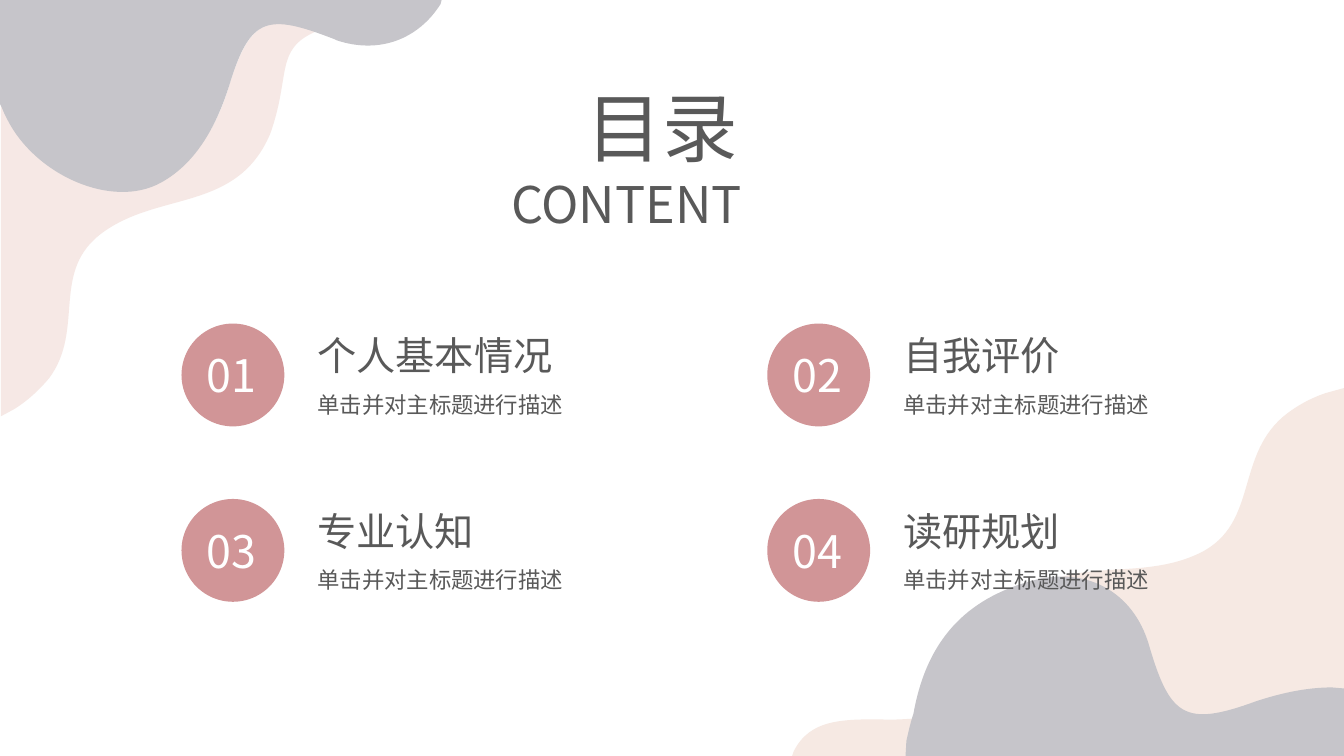
"""Build a table-of-contents slide with wavy corner shapes and four numbered items."""
from lxml import etree
from pptx import Presentation
from pptx.dml.color import RGBColor
from pptx.enum.shapes import MSO_SHAPE
from pptx.enum.text import MSO_ANCHOR, MSO_AUTO_SIZE, PP_ALIGN
from pptx.oxml.ns import qn
from pptx.util import Inches, Pt

OVAL = MSO_SHAPE.OVAL
TOP, MIDDLE = MSO_ANCHOR.TOP, MSO_ANCHOR.MIDDLE
NO_FIT = MSO_AUTO_SIZE.NONE
LEFT, JUSTIFY = PP_ALIGN.LEFT, PP_ALIGN.JUSTIFY

FONT = "Noto Sans CJK SC"
DARK, WHITE, ROSE, GREY = "595959", "FFFFFF", "D19597", "C6C5CA"

TITLE, SUBTITLE = "目录", "CONTENT"
ITEMS = ["个人基本情况", "自我评价", "专业认知", "读研规划"]
DESCRIPTION = "单击并对主标题进行描述"

# Each step holds one end point, or two control points and an end point.
WAVES = [
    ("F6E8E5", [
        (0.01, 4.13), (0.01, 0.96), (0.1, 1.16),
        (0.37, 1.71, 1.14, 2.04, 1.61, 1.78),
        (1.97, 1.58, 2.17, 1.21, 2.28, 0.83),
        (2.47, 0.23, 2.63, 0.14, 3.14, 0.31),
        (2.72, 0.49, 2.89, 0.74, 2.68, 1.33),
        (2.35, 2.1, 1.59, 1.9, 1.03, 2.3),
        (0.49, 2.68, 0.85, 3.26, 0.49, 3.75),
        (0.39, 3.87, 0.27, 3.98, 0.14, 4.06)]),
    (GREY, [
        (0, 1.03), (0, 0), (4.38, 0), (4.37, 0.04),
        (4.15, 0.39, 3.76, 0.54, 3.34, 0.4),
        (3.33, 0.39, 3.33, 0.39, 3.32, 0.39),
        (2.65, 0.13, 2.48, 0.16, 2.27, 0.86),
        (2.15, 1.23, 1.96, 1.61, 1.6, 1.81),
        (1.12, 2.08, 0.35, 1.74, 0.07, 1.18),
        (0.05, 1.14, 0.03, 1.1, 0.02, 1.07)]),
    ("F6E9E3", [
        (7.85, 7.52), (7.87, 7.46),
        (8.03, 7.13, 8.36, 7.13, 8.84, 7.14),
        (9.78, 7.12, 9.51, 6.84, 9.94, 6.15),
        (10.45, 5.43, 11.18, 5.8, 11.85, 5.51),
        (12.49, 5.24, 12.24, 4.56, 12.72, 4.14),
        (12.85, 4.03, 13, 3.95, 13.15, 3.9),
        (13.33, 3.85), (13.33, 7.52)]),
    (GREY, [
        (8.98, 7.52), (8.99, 7.35),
        (9.01, 7.26, 9.03, 7.17, 9.06, 7.08),
        (9.19, 6.35, 9.58, 5.94, 10.24, 5.76),
        (10.75, 5.62, 11.21, 5.85, 11.38, 6.35),
        (11.39, 6.36, 11.39, 6.37, 11.39, 6.38),
        (11.6, 7.1, 11.74, 7.22, 12.45, 6.96),
        (12.69, 6.88, 12.95, 6.82, 13.21, 6.82),
        (13.33, 6.83), (13.33, 7.52)]),
]

COLS, SAMPLES = 2, 24
GRID_LEFT, GRID_TOP, COL_STEP, ROW_STEP = 1.8, 3.21, 5.81, 1.74
CIRCLE, TEXT_DX, HEAD_DY, DESC_DY = 1.02, 1.25, 0.03, 0.62


def rgb(value):
    return RGBColor.from_string(value)


def paint(sp, color):
    sp.shadow.inherit = False
    sp.fill.solid()
    sp.fill.fore_color.rgb = rgb(color)
    sp.line.fill.background()


def write(sp, text, size, color=DARK, align=LEFT, anchor=TOP, wrap=True):
    tf = sp.text_frame
    for name, value in {"word_wrap": wrap, "auto_size": NO_FIT,
                        "vertical_anchor": anchor}.items():
        setattr(tf, name, value)
    p = tf.paragraphs[0]
    p.alignment = align
    r = p.add_run()
    r.text = text
    for name, value in {"name": FONT, "size": Pt(size), "bold": False}.items():
        setattr(r.font, name, value)
    r.font.color.rgb = rgb(color)
    etree.SubElement(r.font._element, qn("a:ea"), typeface=FONT)


def add_text(slide, x, y, w, h, text, size, **style):
    sp = slide.shapes.add_textbox(Inches(x), Inches(y), Inches(w), Inches(h))
    write(sp, text, size, **style)


def extent(steps, axis):
    values = [steps[0][axis]]
    for before, step in zip(steps, steps[1:]):
        a, d = before[-2:][axis], step[-2:][axis]
        b, c = (step[axis], step[axis + 2]) if len(step) == 6 else (a, d)
        for i in range(1, SAMPLES + 1):
            t = i / SAMPLES
            u = 1 - t
            values.append(a * u**3 + 3 * b * t * u**2 + 3 * c * t**2 * u + d * t**3)
    return min(values), max(values)


def add_wave(slide, color, steps):
    ends = [(Inches(x), Inches(y)) for x, y in (step[-2:] for step in steps)]
    builder = slide.shapes.build_freeform(*ends[0])
    builder.add_line_segments(ends[1:], close=True)
    sp = builder.convert_to_shape()
    paint(sp, color)
    (x0, x1), (y0, y1) = extent(steps, 0), extent(steps, 1)
    box = {"left": x0, "top": y0, "width": x1 - x0, "height": y1 - y0}
    for name, value in box.items():
        setattr(sp, name, Inches(value))
    outline = next(sp._element.iter(qn("a:path")))
    outline.set("w", str(sp.width))
    outline.set("h", str(sp.height))
    for node, step in zip(list(outline), steps):
        node.clear()
        if len(step) == 6:
            node.tag = qn("a:cubicBezTo")
        for x, y in zip(step[::2], step[1::2]):
            etree.SubElement(node, qn("a:pt"), x=str(Inches(x - x0)), y=str(Inches(y - y0)))


def add_item(slide, index, heading):
    row, col = divmod(index, COLS)
    x, y = GRID_LEFT + col * COL_STEP, GRID_TOP + row * ROW_STEP
    sp = slide.shapes.add_shape(OVAL, Inches(x), Inches(y), Inches(CIRCLE), Inches(CIRCLE))
    paint(sp, ROSE)
    write(sp, f"{index + 1:02d}", 32, color=WHITE, anchor=MIDDLE)
    for text, size, dy, h in ((heading, 28, HEAD_DY, 0.57), (DESCRIPTION, 16, DESC_DY, 0.37)):
        width = len(text) * size / 72 + 0.22
        add_text(slide, x + TEXT_DX, y + dy, width, h, text, size, wrap=False)


def main():
    prs = Presentation()
    prs.slide_width, prs.slide_height = Inches(13.33), Inches(7.5)
    slide = prs.slides.add_slide(prs.slide_layouts[5])
    for color, steps in WAVES:
        add_wave(slide, color, steps)
    title = slide.shapes.title
    for name, value in {"left": 5.72, "top": 0.75, "width": 1.9, "height": 1.01}.items():
        setattr(title, name, Inches(value))
    write(title, TITLE, 54, align=JUSTIFY)
    add_text(slide, 4.97, 1.67, 3.39, 0.71, SUBTITLE, 36, align=JUSTIFY)
    for index, heading in enumerate(ITEMS):
        add_item(slide, index, heading)
    prs.save("out.pptx")


if __name__ == "__main__":
    main()
